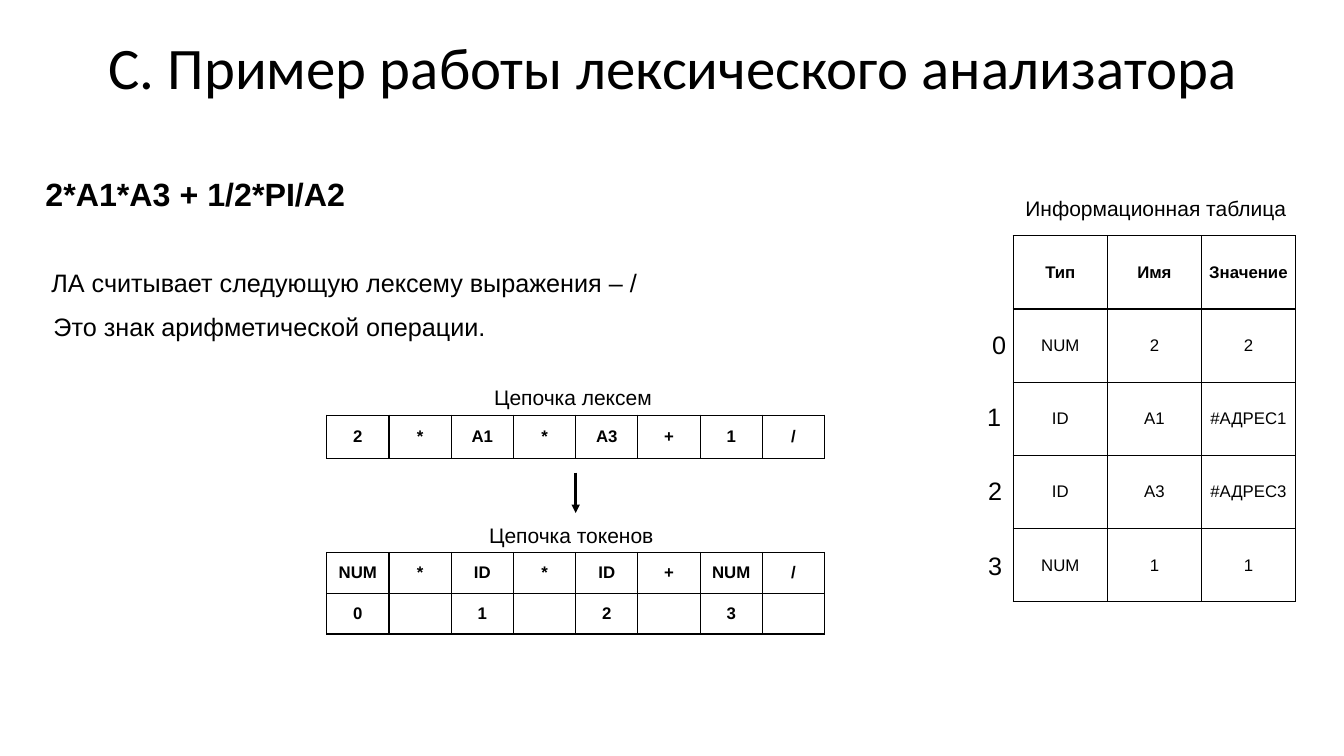
"""Builds the slide with a worked example of a lexical analyser."""
import pptx
import pptx.util
import pptx.dml.color
import pptx.enum.shapes
import pptx.enum.text
import pptx.oxml

PX = 9144
THEME = {
    "ink": pptx.dml.color.RGBColor(0, 0, 0),
    "paper": pptx.dml.color.RGBColor(255, 255, 255),
    "head": "Calibri", "body": "Arial",
    "title": 42, "sum": 23, "text": 18, "label": 15, "cell": 12,
}
NS = 'xmlns:a="http://schemas.openxmlformats.org/drawingml/2006/main"'
ALIGN = pptx.enum.text.PP_ALIGN
ANCHOR = pptx.enum.text.MSO_ANCHOR


def write(para, text, size, bold=False, face="body"):
    run = para.add_run()
    run.text = text
    run.font.size = pptx.util.Pt(THEME[size])
    run.font.name = THEME[face]
    run.font.bold = bold
    run.font.color.rgb = THEME["ink"]


def label(box, text, size, bold=False, face="body", wrap=False):
    shape = slide.shapes.add_textbox(*[n * PX for n in box])
    frame = shape.text_frame
    frame.word_wrap = wrap
    frame.margin_left = frame.margin_right = 5 * PX
    frame.margin_top = frame.margin_bottom = 5 * PX
    write(frame.paragraphs[0], text, size, bold, face)
    return frame


deck = pptx.Presentation()
deck.slide_width = 1333 * PX
deck.slide_height = 750 * PX
slide = deck.slides.add_slide(deck.slide_layouts[6])

title = label((92, 25, 1150, 90), "C. Пример работы лексического анализатора",
              "title", face="head", wrap=True)
title.vertical_anchor = ANCHOR.MIDDLE
title.paragraphs[0].alignment = ALIGN.CENTER
title.paragraphs[0].line_spacing = 0.9

sum_ = label((40, 175, 309, 49), "2*A1*A3 + 1/2*PI/A2", "sum", bold=True)
sum_.paragraphs[0].line_spacing = 0.81
sum_.paragraphs[0].space_before = pptx.util.Pt(10)

label((46, 260, 606, 40), "ЛА считывает следующую лексему выражения – /", "text")
label((48, 304, 938, 40), "Это знак арифметической операции.", "text", wrap=True)
label((485, 377, 172, 35), "Цепочка лексем", "label")
label((480, 513, 181, 35), "Цепочка токенов", "label")
label((1012, 189, 273, 35), "Информационная таблица", "label")

for row, (left, top) in enumerate([(979, 322), (974, 393), (975, 467), (975, 541)]):
    label((left, top, 24, 40), str(row), "text")

arrow = slide.shapes.add_connector(
    pptx.enum.shapes.MSO_CONNECTOR.STRAIGHT, 571 * PX, 469 * PX, 571 * PX, 509 * PX)
arrow.line.color.rgb = THEME["ink"]
arrow.line.width = pptx.util.Pt(2)
arrow.line._get_or_add_ln().append(
    pptx.oxml.parse_xml(f'<a:tailEnd {NS} type="triangle"/>'))
arrow._element.spPr.append(pptx.oxml.parse_xml(f"<a:effectLst {NS}/>"))

lexemes = [["2", "*", "A1", "*", "A3", "+", "1", "/"]]
tokens = [["NUM", "*", "ID", "*", "ID", "+", "NUM", "/"],
          ["0", "", "1", "", "2", "", "3", ""]]
facts = [["Тип", "Имя", "Значение"],
         ["NUM", "2", "2"],
         ["ID", "A1", "#АДРЕС1"],
         ["ID", "A3", "#АДРЕС3"],
         ["NUM", "1", "1"]]

for rows, box, bolds in [(lexemes, (324, 412, 494, 43), 1),
                         (tokens, (324, 548, 494, 81), 2),
                         (facts, (1005, 234, 280, 363), 1)]:
    grid = slide.shapes.add_table(
        len(rows), len(rows[0]), *[n * PX for n in box]).table
    grid.first_row = grid.horz_banding = False
    for r, row in enumerate(rows):
        for c, text in enumerate(row):
            cell = grid.cell(r, c)
            cell.margin_left = cell.margin_right = 0
            cell.margin_top = cell.margin_bottom = 0
            cell.vertical_anchor = ANCHOR.MIDDLE
            for side in "LRTB":
                cell._tc.get_or_add_tcPr().append(pptx.oxml.parse_xml(
                    f'<a:ln{side} {NS} w="12700"><a:solidFill>'
                    f'<a:srgbClr val="{THEME["ink"]}"/></a:solidFill></a:ln{side}>'))
            cell.fill.solid()
            cell.fill.fore_color.rgb = THEME["paper"]
            if text:
                para = cell.text_frame.paragraphs[0]
                para.alignment = ALIGN.CENTER
                write(para, text, "cell", r < bolds)

deck.save("out.pptx")
